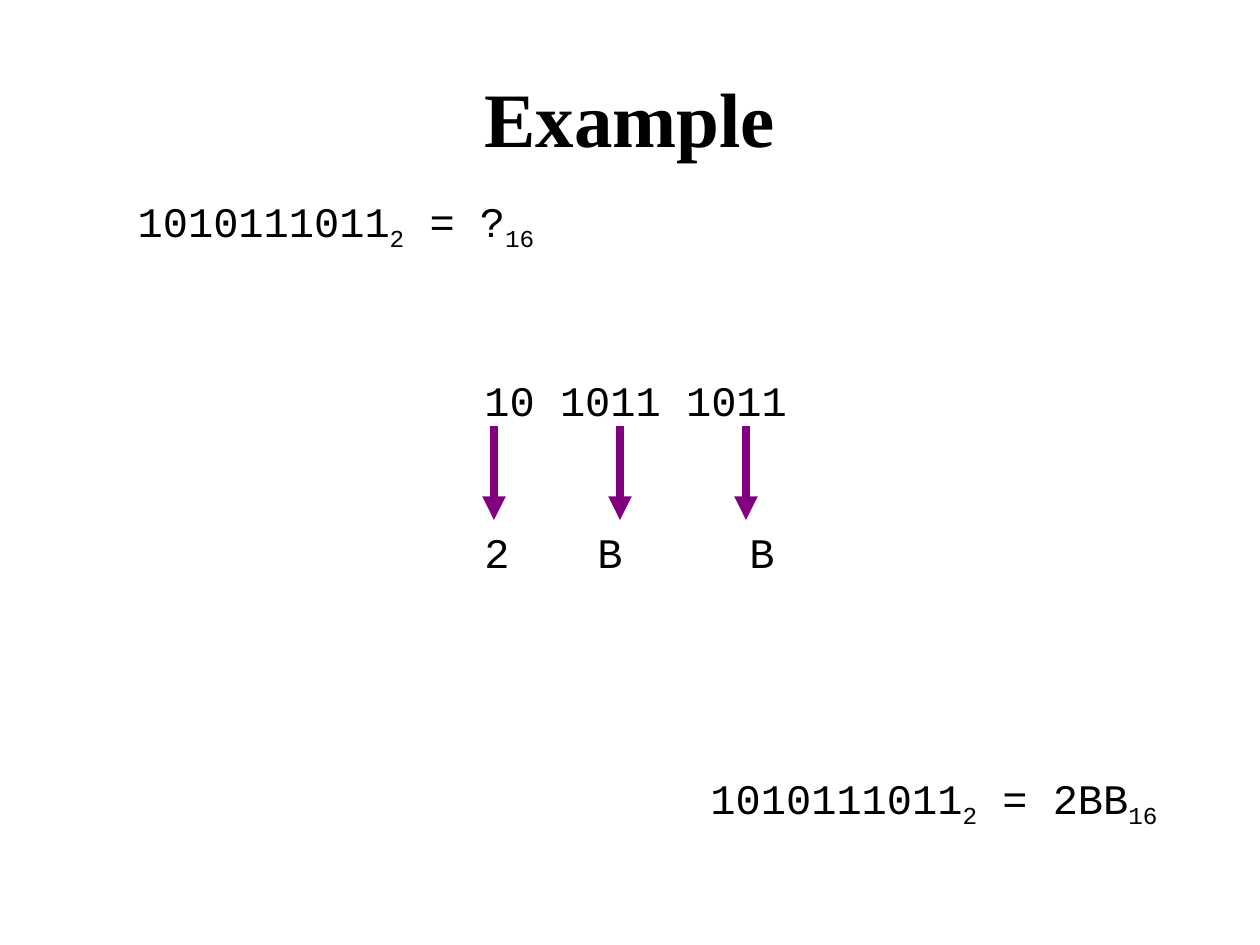
from lxml import etree
from pptx import Presentation
from pptx.dml.color import RGBColor
from pptx.enum.shapes import MSO_CONNECTOR
from pptx.enum.text import MSO_ANCHOR, PP_ALIGN
from pptx.oxml.ns import qn
from pptx.util import Emu, Pt

STRAIGHT = MSO_CONNECTOR.STRAIGHT
TOP, MIDDLE = MSO_ANCHOR.TOP, MSO_ANCHOR.MIDDLE
LEFT, CENTER = PP_ALIGN.LEFT, PP_ALIGN.CENTER
PX_PER_INCH = 126
EMU_PER_INCH = 914400


def px(length):
    return Emu(round(length * EMU_PER_INCH / PX_PER_INCH))


def color(hex_code):
    return RGBColor.from_string(hex_code)


class SlideBuilder:
    CODE_FONT, TITLE_FONT = "Courier New", "Times New Roman"
    INK, ARROW = "000000", "800080"

    def __init__(self, slide):
        self.slide = slide

    def text_frame(self, left, top, width, height, anchor=TOP):
        box = self.slide.shapes.add_textbox(px(left), px(top), px(width), px(height))
        frame = box.text_frame
        frame.word_wrap = True
        frame.vertical_anchor = anchor
        return frame

    def style(self, para, font, size, align, bold=False):
        para.alignment = align
        para.font.name = font
        para.font.size = Pt(size)
        para.font.bold = bold
        para.font.color.rgb = color(self.INK)

    def title(self, text, left, top, width, height):
        para = self.text_frame(left, top, width, height, MIDDLE).paragraphs[0]
        para.text = text
        self.style(para, self.TITLE_FONT, 44, CENTER, bold=True)

    def equation(self, binary, result, left, top):
        """Write binary (base 2) = result (base 16), with the bases as subscripts."""
        para = self.text_frame(left, top, 588, 71).paragraphs[0]
        for text, base in ((binary, "2"), (f" = {result}", "16")):
            para.add_run().text = text
            subscript = para.add_run()
            subscript.text = base
            subscript.font._element.set("baseline", "-25000")
        self.style(para, self.CODE_FONT, 24, CENTER)

    def conversion(self, groups, digits, tab_stops, left, top):
        """Write the bit groups, and below them the hex digits at the tab stops."""
        frame = self.text_frame(left, top, 588, 223)
        group_para, digit_para = frame.paragraphs[0], frame.add_paragraph()
        group_para.text = " ".join(groups)
        digit_para.text = "\t".join(digits)
        digit_para.space_before = Pt(58.5)
        tabs = etree.SubElement(digit_para._p.get_or_add_pPr(), qn("a:tabLst"))
        for stop in tab_stops:
            etree.SubElement(tabs, qn("a:tab"), pos=str(px(stop)), algn="l")
        for para in (group_para, digit_para):
            self.style(para, self.CODE_FONT, 24, LEFT)

    def down_arrow(self, x, top, bottom):
        arrow = self.slide.shapes.add_connector(STRAIGHT, px(x), px(top), px(x), px(bottom))
        arrow.line.color.rgb = color(self.ARROW)
        arrow.line.width = Pt(4.5)
        etree.SubElement(arrow.line._get_or_add_ln(), qn("a:tailEnd"), type="triangle")
        etree.SubElement(arrow._element.spPr, qn("a:effectLst"))


def main():
    deck = Presentation()
    deck.slide_width, deck.slide_height = px(1260), px(945)
    builder = SlideBuilder(deck.slides.add_slide(deck.slide_layouts[6]))

    builder.title("Example", 63, 38, 1134, 158)
    builder.equation("1010111011", "?", 42, 189)
    builder.conversion(("10", "1011", "1011"), "2BB", (113, 265), 472, 368)
    for column in range(3):
        builder.down_arrow(494 + 126 * column, 426, 520)
    builder.equation("1010111011", "2BB", 640, 766)

    deck.save("out.pptx")


if __name__ == "__main__":
    main()
